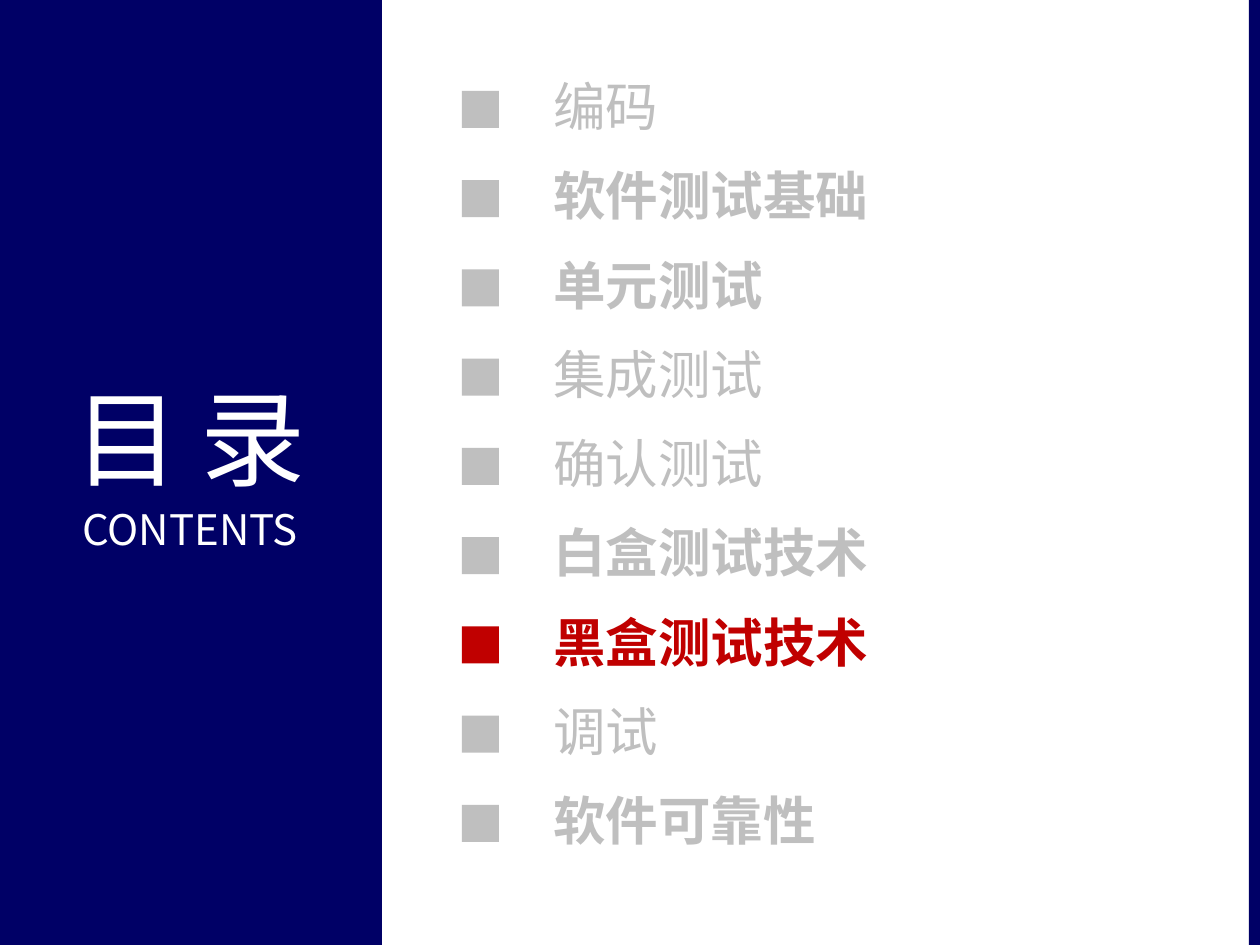
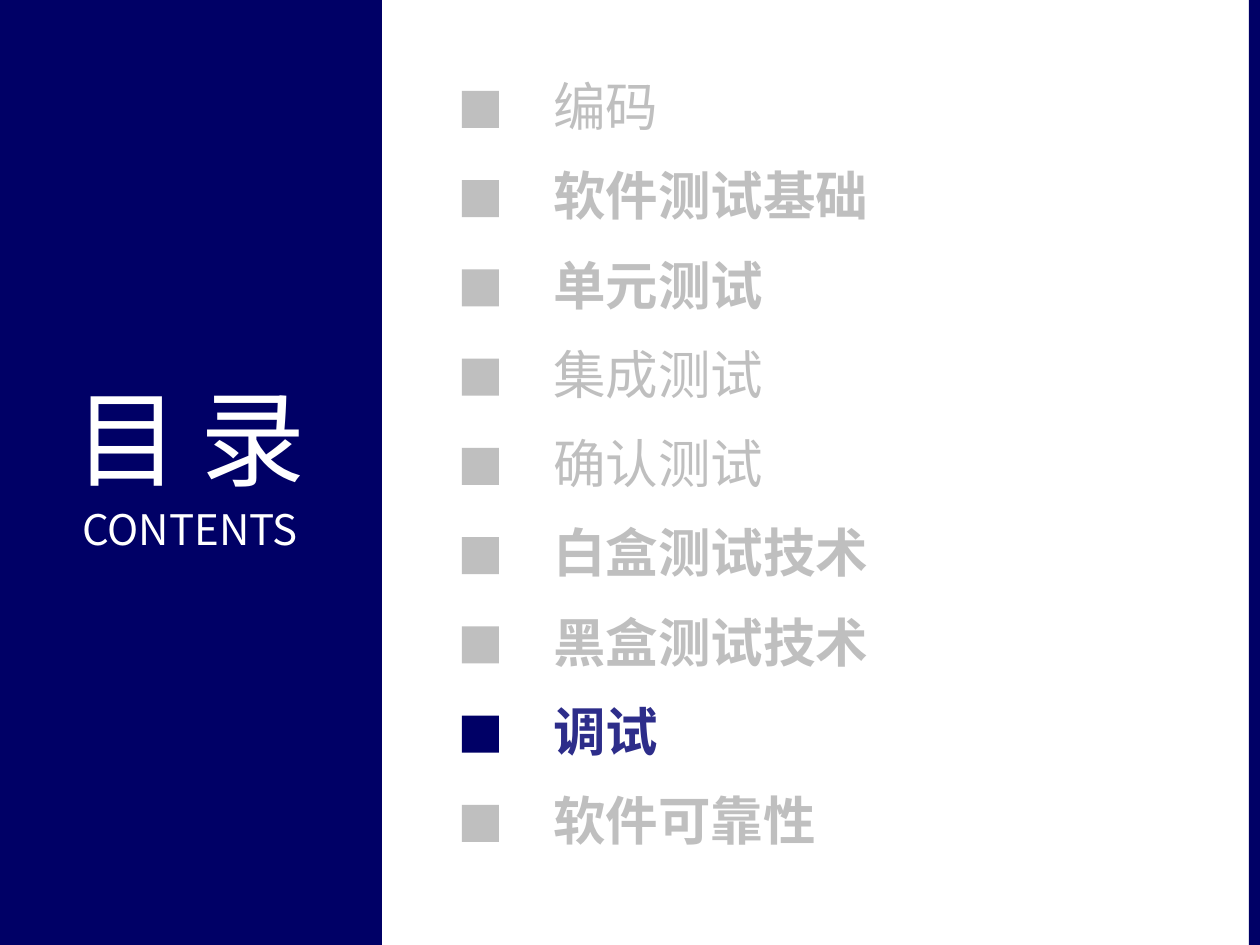
from dataclasses import dataclass

from lxml import etree
from pptx import Presentation
from pptx.dml.color import RGBColor
from pptx.enum.shapes import MSO_SHAPE
from pptx.enum.text import MSO_ANCHOR, PP_ALIGN
from pptx.oxml.ns import qn
from pptx.util import Pt

RECTANGLE = MSO_SHAPE.RECTANGLE
MIDDLE = MSO_ANCHOR.MIDDLE
LEFT, CENTER = PP_ALIGN.LEFT, PP_ALIGN.CENTER

EMU_PER_PX = 914400 / 126
SLIDE_W, SLIDE_H = 1260, 945


@dataclass(frozen=True)
class Theme:
    font: str = "Noto Sans CJK SC"
    navy: str = "000066"
    indigo: str = "2D2D8A"
    red: str = "C00000"
    grey: str = "BFBFBF"
    white: str = "FFFFFF"
    title_size: int = 60
    subtitle_size: int = 24
    topic_size: int = 30


THEME = Theme()

SIDEBAR_BOX = (-2, 0, 384, SLIDE_H)
EDGE_BOX = (1249, 0, 11, SLIDE_H)
TOPICS_BOX = (462, 69, 565, 791)

# Each topic with whether it is bold while not current
TOPICS = [
    ("编码", False),
    ("软件测试基础", True),
    ("单元测试", True),
    ("集成测试", False),
    ("确认测试", False),
    ("白盒测试技术", True),
    ("黑盒测试技术", True),
    ("调试", False),
    ("软件可靠性", True),
]

# Current topic, colour of its marker, colour of its text
SECTIONS = [
    ("黑盒测试技术", THEME.red, THEME.red),
    ("调试", THEME.navy, THEME.indigo),
]


def px(length):
    return round(length * EMU_PER_PX)


def add_block(slide, box, color):
    block = slide.shapes.add_shape(RECTANGLE, *map(px, box))
    block.shadow.inherit = False
    block.fill.solid()
    block.fill.fore_color.rgb = RGBColor.from_string(color)
    block.line.fill.background()


def add_text_frame(slide, box, bottom_inset):
    frame = slide.shapes.add_textbox(*map(px, box)).text_frame
    frame.word_wrap = True
    frame.vertical_anchor = MIDDLE
    frame.margin_bottom = px(bottom_inset)
    return frame


def write(paragraph, text, *, size, color, bold=False, align=LEFT,
          tracking=0, space_before=0):
    """Add text to a paragraph; tracking and space_before are in points."""
    paragraph.alignment = align
    if space_before:
        paragraph.space_before = Pt(space_before)
    run = paragraph.add_run()
    run.text = text
    run.font.size = Pt(size)
    run.font.bold = bold
    run.font.color.rgb = RGBColor.from_string(color)
    run.font.name = THEME.font
    properties = run._r.get_or_add_rPr()
    properties.set("spc", str(tracking * 100))
    etree.SubElement(properties, qn("a:ea"), typeface=THEME.font)


def add_sidebar(slide, box):
    left, top, width, _ = box
    add_block(slide, box, THEME.navy)
    heading = add_text_frame(slide, (left, top + 364, width, 217), 24)
    write(heading.paragraphs[0], "目录", size=THEME.title_size,
          color=THEME.white, align=CENTER, tracking=12)
    write(heading.add_paragraph(), "CONTENTS", size=THEME.subtitle_size,
          color=THEME.white, align=CENTER, space_before=2)


def add_topic(slide, box, topic, marker_color, text_color, bold):
    left, top, width, height = box
    add_block(slide, (left, top + 22, 37, 37), marker_color)
    label = add_text_frame(slide, (left + 79, top, width - 79, height), 10)
    write(label.paragraphs[0], topic, size=THEME.topic_size,
          color=text_color, bold=bold)


def add_topics(slide, box, current, marker_color, text_color):
    """Spread the topics evenly over the box, with the current one in colour."""
    left, top, width, height = box
    row_height = 77
    pitch = (height - row_height) / (len(TOPICS) - 1)
    for row, (topic, bold) in enumerate(TOPICS):
        row_box = (left, top + row * pitch, width, row_height)
        if topic == current:
            add_topic(slide, row_box, topic, marker_color, text_color, True)
        else:
            add_topic(slide, row_box, topic, THEME.grey, THEME.grey, bold)


def add_contents_slide(deck, current, marker_color, text_color):
    slide = deck.slides.add_slide(deck.slide_layouts[6])
    add_sidebar(slide, SIDEBAR_BOX)
    add_block(slide, EDGE_BOX, THEME.navy)
    add_topics(slide, TOPICS_BOX, current, marker_color, text_color)


def main():
    deck = Presentation()
    deck.slide_width, deck.slide_height = px(SLIDE_W), px(SLIDE_H)
    for section in SECTIONS:
        add_contents_slide(deck, *section)
    deck.save("out.pptx")


if __name__ == "__main__":
    main()
